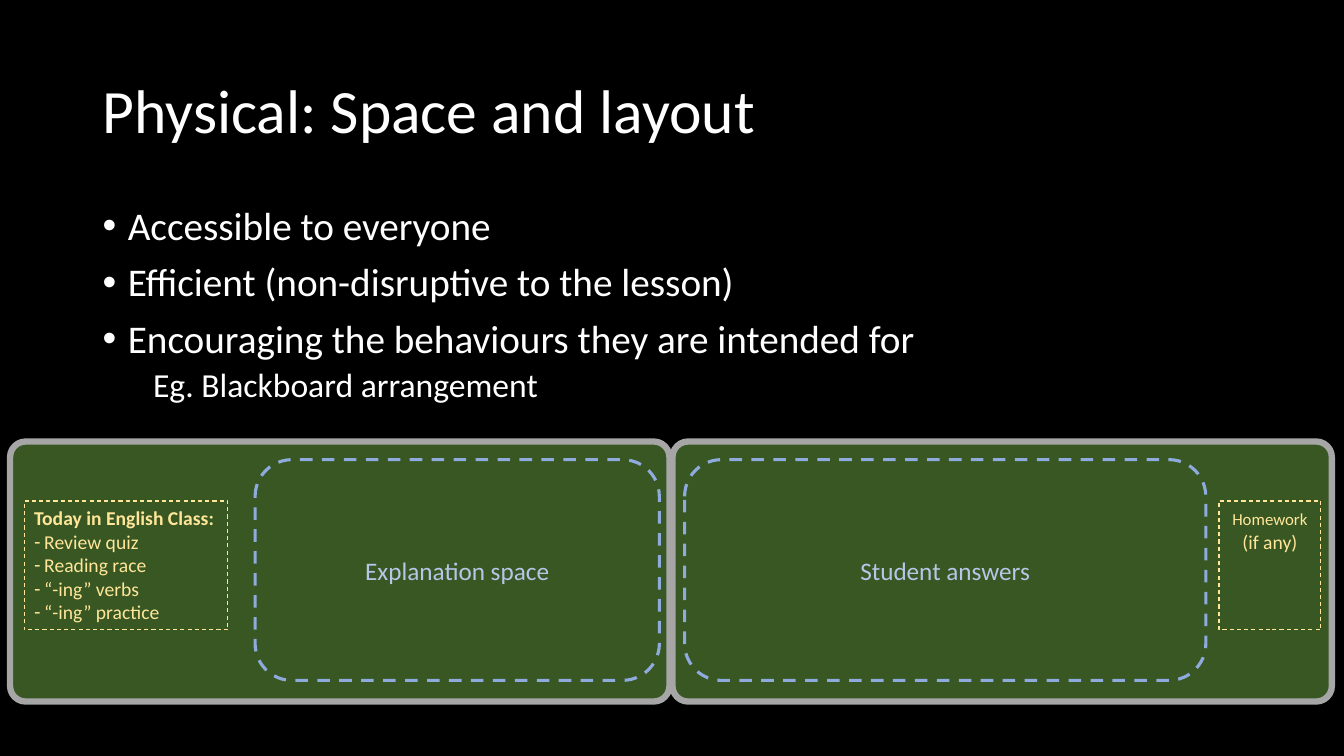
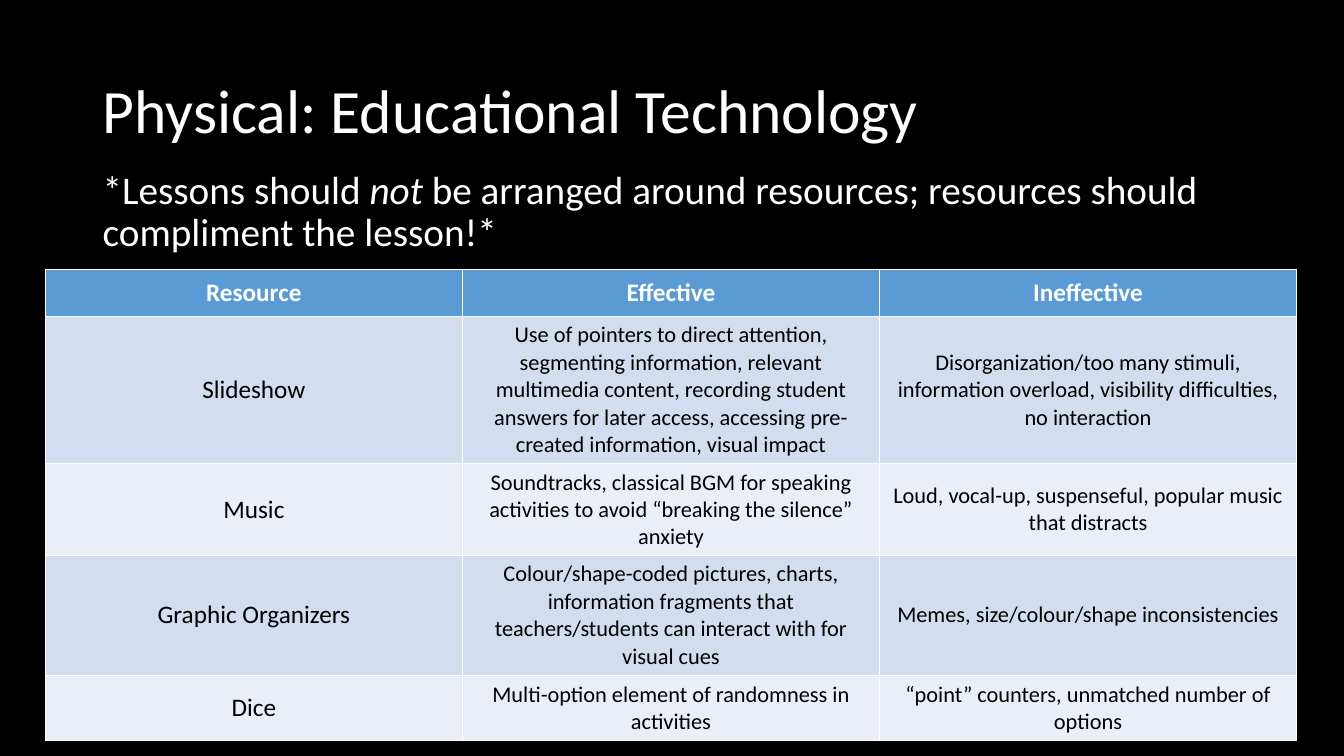
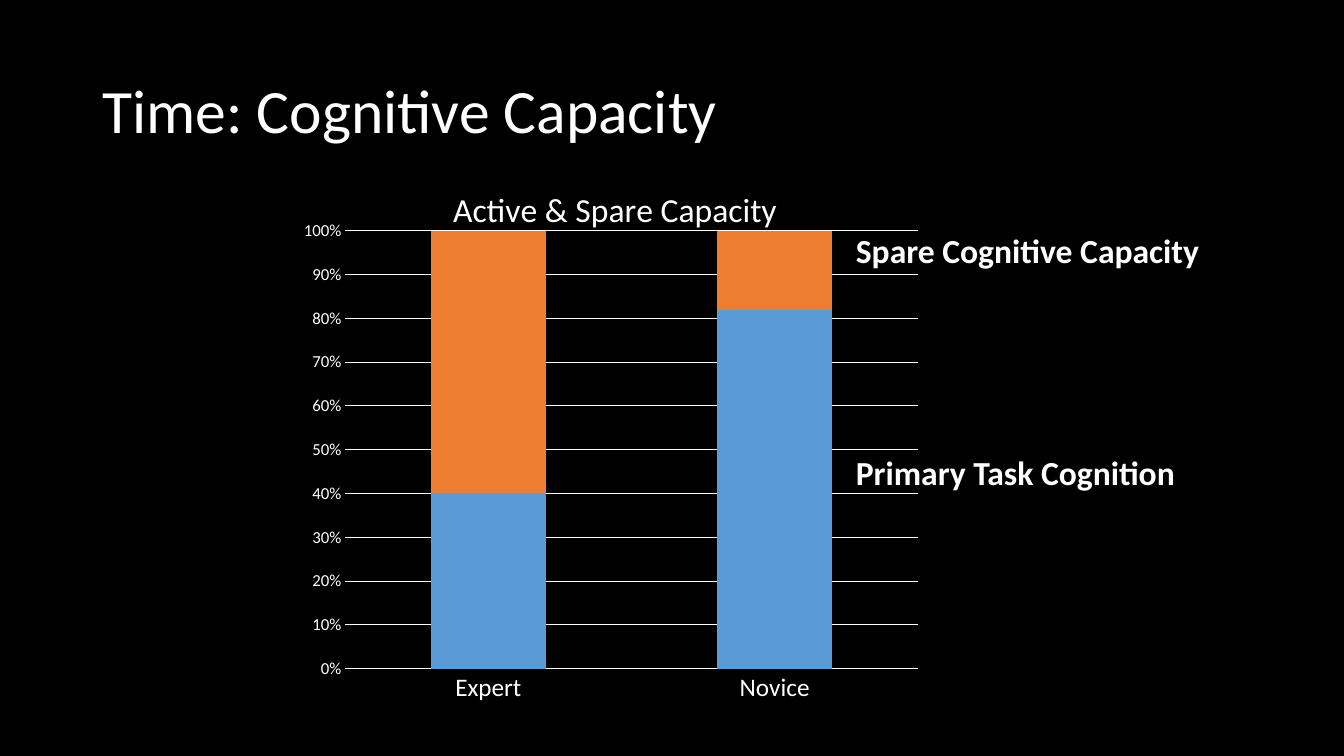
import lxml.etree
import pptx
import pptx.chart.data
import pptx.dml.color
import pptx.enum.chart
import pptx.enum.dml
import pptx.enum.shapes
import pptx.enum.text
import pptx.oxml.ns
import pptx.util

Inches, Pt, qn = pptx.util.Inches, pptx.util.Pt, pptx.oxml.ns.qn
ALIGN, ANCHOR = pptx.enum.text.PP_ALIGN, pptx.enum.text.MSO_ANCHOR
PRESET = pptx.enum.shapes.MSO_SHAPE

FONT = "Calibri"
COLOURS = {
    "background": "000000", "text": "FFFFFF", "cell text": "000000",
    "board": "385723", "frame": "A6A6A6", "note": "FFE699",
    "panel line": "8FAADC", "panel text": "B4C7E7",
    "header": "5B9BD5", "odd row": "D2DEEF", "even row": "EAEFF7",
    "primary": "5B9BD5", "spare": "ED7D31",
}

SLIDE_SIZE = (13.33, 7.5)
MARGIN, CONTENT_WIDTH = 0.92, 11.5
TITLE_BOX = (MARGIN, 0.4, CONTENT_WIDTH, 1.45)
BODY_HEIGHT = 4.76

# Slide 1: a paragraph is (runs, options); a run is (text, options)
LAYOUT_TITLE = "Physical: Space and layout"
BULLET = {"bullet": "•", "indent": 0.25, "spacing": 0.9, "before": 10}
LAYOUT_BODY = [
    ([("Accessible to everyone", {})], BULLET),
    ([("Efficient (non-disruptive to the lesson)", {})], BULLET),
    ([("Encouraging the behaviours they are intended for", {})], BULLET),
    ([("Eg. Blackboard arrangement", {"size": 24})],
     {"level": 1, "left": 0.5, "spacing": 0.9, "before": 5}),
]
BOARD_LEFT, BOARD_TOP, BOARD_WIDTH, BOARD_HEIGHT, BOARD_GAP = 0.1, 4.38, 6.54, 2.58, 0.03
PANEL_TOP, PANEL_HEIGHT = 4.56, 2.19
PANELS = [(2.53, 4.01, "Explanation space"), (6.79, 5.17, "Student answers")]
NOTE_TOP, NOTE_HEIGHT = 4.97, 1.28
AGENDA = ["Review quiz", "Reading race", "“-ing” verbs", "“-ing” practice"]
NOTES = [
    (0.24, 2.02,
     [([("Today in English Class:", {"bold": True})], {})]
     + [([(item, {})], {"bullet": "-", "indent": 0.1}) for item in AGENDA]),
    (12.09, 1.01,
     [([("Homework", {"size": 12}), (" (if any)", {})], {"align": ALIGN.CENTER})]),
]

# Slide 2
TECHNOLOGY_TITLE = "Physical: Educational Technology"
TECHNOLOGY_BODY = [(
    [("*Lessons should ", {}), ("not", {"italic": True}),
     (" be arranged around resources; resources should compliment the lesson!*", {})],
    {"spacing": 0.9, "before": 10},
)]
RESOURCES = [
    ("Resource", "Effective", "Ineffective"),
    ("Slideshow",
     "Use of pointers to direct attention, segmenting information, relevant multimedia content, "
     "recording student answers for later access, accessing pre-created information, visual impact",
     "Disorganization/too many stimuli, information overload, visibility difficulties, no interaction"),
    ("Music",
     "Soundtracks, classical BGM for speaking activities to avoid “breaking the silence” anxiety",
     "Loud, vocal-up, suspenseful, popular music that distracts"),
    ("Graphic Organizers",
     "Colour/shape-coded pictures, charts, information fragments that teachers/students "
     "can interact with for visual cues",
     "Memes, size/colour/shape inconsistencies"),
    ("Dice",
     "Multi-option element of randomness in activities",
     "“point” counters, unmatched number of options"),
]
ROW_HEIGHTS = [0.47, 1.46, 0.91, 1.19, 0.65]
TABLE_LEFT, TABLE_TOP, TABLE_WIDTH = 0.45, 2.67, 12.41

# Slide 3
CAPACITY_TITLE = "Time: Cognitive Capacity"
CHART_BOX = (2.92, 1.63, 6.31, 5.5)
CHART_TITLE = "Active & Spare Capacity"
CATEGORIES = ["Expert", "Novice"]
SERIES = [("Series 1", (40, 82), "primary"), ("Series 2", (60, 18), "spare")]
TITLE_PLACE = {"x": 0.24, "y": 0.03}
PLOT_PLACE = {"x": 0.08, "y": 0.12, "w": 0.9, "h": 0.79}
LABELS = [(2.23, 3.65, "Spare Cognitive Capacity"), (4.43, 3.4, "Primary Task Cognition")]
LABEL_LEFT, LABEL_HEIGHT = 8.39, 0.5


def rgb(name):
    return pptx.dml.color.RGBColor.from_string(COLOURS[name])


def inches(box):
    return [Inches(length) for length in box]


def style_font(font, size, colour, bold=False, italic=False):
    font.name, font.size = FONT, Pt(size)
    font.bold, font.italic = bold, italic
    font.color.rgb = rgb(colour)


def style_line(line, colour, width, dash=None):
    line.color.rgb = rgb(colour)
    line.width = Pt(width)
    if dash:
        line.dash_style = dash


def indent_paragraph(paragraph, options):
    properties = paragraph._p.get_or_add_pPr()
    hanging = options.get("indent", 0)
    properties.set("marL", str(Inches(options.get("left", hanging))))
    properties.set("indent", str(-Inches(hanging)))
    if "bullet" in options:
        lxml.etree.SubElement(properties, qn("a:buFont")).set("typeface", "Arial")
        lxml.etree.SubElement(properties, qn("a:buChar")).set("char", options["bullet"])


def write(frame, paragraphs, size, colour, anchor=ANCHOR.TOP):
    """Fill a text frame; run options override the given size."""
    frame.word_wrap = True
    frame.vertical_anchor = anchor
    for index, (runs, options) in enumerate(paragraphs):
        paragraph = frame.add_paragraph() if index else frame.paragraphs[0]
        paragraph.alignment = options.get("align", ALIGN.LEFT)
        paragraph.level = options.get("level", 0)
        paragraph.line_spacing = options.get("spacing", 1.0)
        paragraph.space_before = Pt(options.get("before", 0))
        indent_paragraph(paragraph, options)
        for text, run_options in runs:
            run = paragraph.add_run()
            run.text = text
            style_font(run.font, colour=colour, **{"size": size, **run_options})


def add_text(slide, box, paragraphs, size, **options):
    frame = slide.shapes.add_textbox(*inches(box)).text_frame
    write(frame, paragraphs, size, "text", **options)
    return frame


def add_titled_slide(presentation, title):
    slide = presentation.slides.add_slide(presentation.slide_layouts[6])
    add_text(slide, TITLE_BOX, [([(title, {})], {"spacing": 0.9})], 44, anchor=ANCHOR.MIDDLE)
    return slide


def add_outline(slide, preset, box, *line, fill=None):
    shape = slide.shapes.add_shape(preset, *inches(box))
    shape.shadow.inherit = False
    if fill:
        shape.fill.solid()
        shape.fill.fore_color.rgb = rgb(fill)
    else:
        shape.fill.background()
    style_line(shape.line, *line)
    return shape


def build_layout_slide(presentation):
    slide = add_titled_slide(presentation, LAYOUT_TITLE)
    add_text(slide, (MARGIN, 2, CONTENT_WIDTH, BODY_HEIGHT), LAYOUT_BODY, 28)
    dash = pptx.enum.dml.MSO_LINE.DASH
    for column in range(2):
        left = BOARD_LEFT + column * (BOARD_WIDTH + BOARD_GAP)
        board = add_outline(slide, PRESET.ROUNDED_RECTANGLE,
                            (left, BOARD_TOP, BOARD_WIDTH, BOARD_HEIGHT),
                            "frame", 4.5, fill="board")
        board.adjustments[0] = 0.06
    for left, width, text in PANELS:
        panel = add_outline(slide, PRESET.ROUNDED_RECTANGLE,
                            (left, PANEL_TOP, width, PANEL_HEIGHT), "panel line", 2.25, dash)
        write(panel.text_frame, [([(text, {})], {"align": ALIGN.CENTER})], 18,
              "panel text", ANCHOR.MIDDLE)
    for left, width, paragraphs in NOTES:
        note = add_outline(slide, PRESET.RECTANGLE,
                           (left, NOTE_TOP, width, NOTE_HEIGHT), "note", 0.75, dash)
        write(note.text_frame, paragraphs, 14, "note")


def add_cell_borders(cell):
    properties = cell._tc.get_or_add_tcPr()
    for index, edge in enumerate(("lnL", "lnR", "lnT", "lnB")):
        line = lxml.etree.Element(qn("a:" + edge), w=str(Pt(1)))
        fill = lxml.etree.SubElement(line, qn("a:solidFill"))
        lxml.etree.SubElement(fill, qn("a:srgbClr")).set("val", COLOURS["text"])
        properties.insert(index, line)


def build_technology_slide(presentation):
    slide = add_titled_slide(presentation, TECHNOLOGY_TITLE)
    add_text(slide, (MARGIN, 1.64, CONTENT_WIDTH, BODY_HEIGHT), TECHNOLOGY_BODY, 28)
    box = (TABLE_LEFT, TABLE_TOP, TABLE_WIDTH, sum(ROW_HEIGHTS))
    table = slide.shapes.add_table(len(RESOURCES), len(RESOURCES[0]), *inches(box)).table
    for row, (texts, height) in enumerate(zip(RESOURCES, ROW_HEIGHTS)):
        table.rows[row].height = Inches(height)
        header = row == 0
        fill = "header" if header else "odd row" if row % 2 else "even row"
        for column, text in enumerate(texts):
            cell = table.cell(row, column)
            cell.fill.solid()
            cell.fill.fore_color.rgb = rgb(fill)
            cell.vertical_anchor = ANCHOR.MIDDLE
            paragraph = cell.text_frame.paragraphs[0]
            paragraph.alignment = ALIGN.CENTER
            run = paragraph.add_run()
            run.text = text
            style_font(run.font, 18 if header or column == 0 else 16,
                       "text" if header else "cell text", bold=header)
            add_cell_borders(cell)


def place_in_chart(element, place, before, inner=False):
    """Give a chart part a manual layout, as shares of the chart's size."""
    for old in element.findall(qn("c:layout")):
        element.remove(old)
    layout = lxml.etree.Element(qn("c:layout"))
    manual = lxml.etree.SubElement(layout, qn("c:manualLayout"))
    settings = [("layoutTarget", "inner")] if inner else []
    settings += [("xMode", "edge"), ("yMode", "edge"), *place.items()]
    for tag, value in settings:
        lxml.etree.SubElement(manual, qn("c:" + tag)).set("val", str(value))
    element.find(qn(before)).addprevious(layout)


def build_capacity_slide(presentation):
    slide = add_titled_slide(presentation, CAPACITY_TITLE)
    data = pptx.chart.data.CategoryChartData()
    data.categories = CATEGORIES
    for name, values, _ in SERIES:
        data.add_series(name, values)
    chart = slide.shapes.add_chart(pptx.enum.chart.XL_CHART_TYPE.COLUMN_STACKED_100,
                                   *inches(CHART_BOX), data).chart
    style_font(chart.font, 10, "text")
    chart.has_legend = False

    run = chart.chart_title.text_frame.paragraphs[0].add_run()
    run.text = CHART_TITLE
    style_font(run.font, 24, "text")
    chart.chart_title.include_in_layout = False
    place_in_chart(chart.chart_title._element, TITLE_PLACE, "c:overlay")

    plot = chart.plots[0]
    plot.gap_width, plot.overlap, plot.vary_by_categories = 150, 100, False
    for series, (_, _, colour) in zip(plot.series, SERIES):
        series.format.fill.solid()
        series.format.fill.fore_color.rgb = rgb(colour)
    place_in_chart(chart._chartSpace.chart.plotArea, PLOT_PLACE, "c:barChart", inner=True)

    for axis, size in ((chart.category_axis, 18), (chart.value_axis, 12)):
        style_font(axis.tick_labels.font, size, "text")
        axis.major_tick_mark = axis.minor_tick_mark = pptx.enum.chart.XL_TICK_MARK.NONE
    style_line(chart.category_axis.format.line, "text", 0.75)
    values = chart.value_axis
    values.format.line.fill.background()
    values.has_major_gridlines = True
    style_line(values.major_gridlines.format.line, "text", 0.75)
    values.tick_labels.number_format = "0%"
    values.tick_labels.number_format_is_linked = False

    for top, width, text in LABELS:
        frame = add_text(slide, (LABEL_LEFT, top, width, LABEL_HEIGHT),
                         [([(text, {"bold": True})], {})], 24)
        frame.word_wrap = False


def main():
    presentation = pptx.Presentation()
    presentation.slide_width, presentation.slide_height = inches(SLIDE_SIZE)
    background = presentation.slide_master.background.fill
    background.solid()
    background.fore_color.rgb = rgb("background")
    build_layout_slide(presentation)
    build_technology_slide(presentation)
    build_capacity_slide(presentation)
    presentation.save("out.pptx")


if __name__ == "__main__":
    main()
